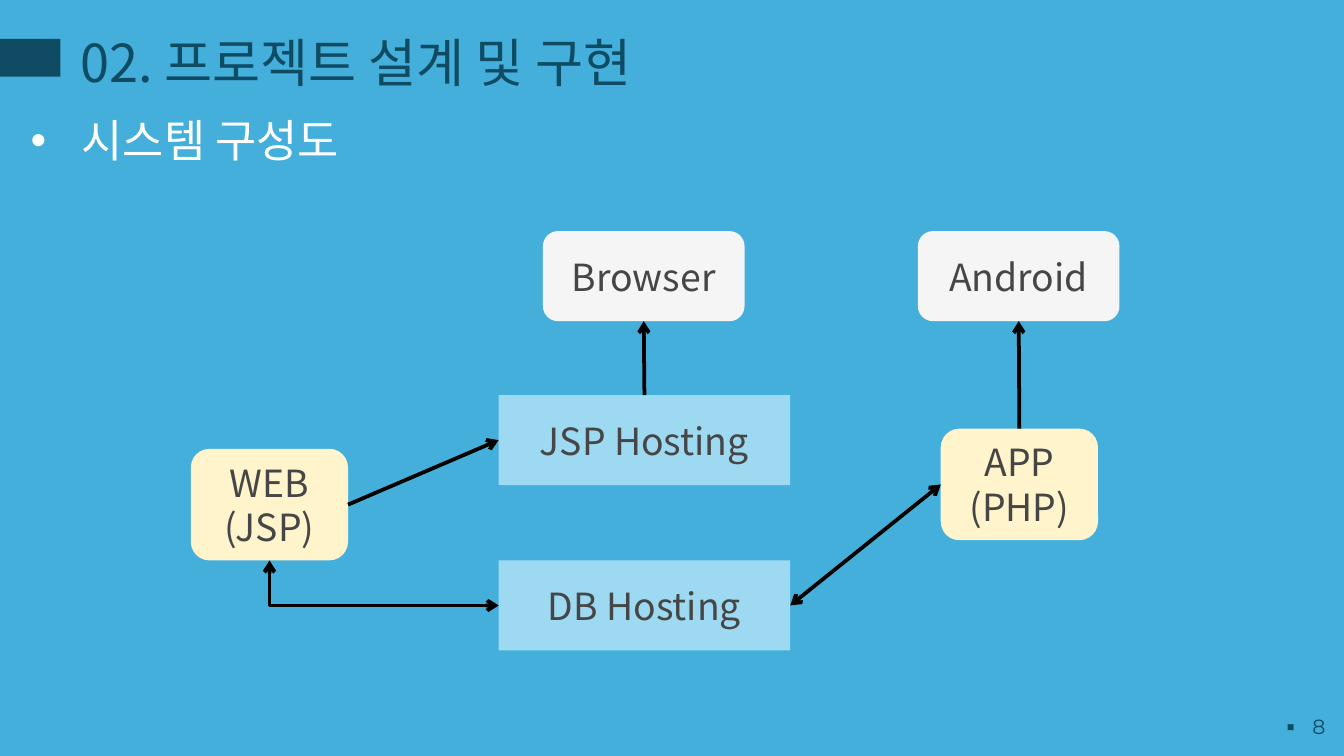
from dataclasses import dataclass

from lxml import etree
from pptx import Presentation
from pptx.dml.color import RGBColor
from pptx.enum.shapes import MSO_CONNECTOR as Connector, MSO_SHAPE as Preset
from pptx.enum.text import MSO_ANCHOR as Anchor, PP_ALIGN as Align
from pptx.oxml.ns import qn
from pptx.util import Inches, Pt

BLUE, NAVY, WHITE, GRAY, BLACK = "45AFDC", "0F4C64", "FFFFFF", "464646", "000000"
CREAM, PALE, SKY = "FFF4CC", "F5F5F5", "9DD9F1"
KOREAN_FONT, NUMBER_FONT = "Noto Sans CJK KR", "Montserrat"
TOP, LEFT, BOTTOM, RIGHT = range(4)


@dataclass
class Node:
    lines: list[str]
    left: float
    top: float
    width: float
    height: float
    fill: str
    rounded: bool = True


@dataclass
class Link:
    start: str
    start_side: int
    end: str
    end_side: int
    both_ways: bool = False


NODES = {
    "web": Node(["WEB", "(JSP)"], 1.42, 3.34, 1.17, 0.83, CREAM),
    "browser": Node(["Browser"], 4.04, 1.72, 1.5, 0.67, PALE),
    "app": Node(["APP", "(PHP)"], 7, 3.19, 1.17, 0.83, CREAM),
    "jsp": Node(["JSP Hosting"], 3.71, 2.94, 2.17, 0.67, SKY, rounded=False),
    "db": Node(["DB Hosting"], 3.71, 4.17, 2.17, 0.67, SKY, rounded=False),
    "android": Node(["Android"], 6.83, 1.72, 1.5, 0.67, PALE),
}
LINKS = [
    Link("web", RIGHT, "jsp", LEFT),
    Link("jsp", TOP, "browser", BOTTOM),
    Link("db", RIGHT, "app", LEFT, both_ways=True),
    Link("app", TOP, "android", BOTTOM),
]


def color(value: str) -> RGBColor:
    return RGBColor.from_string(value)


def add_run(paragraph, text: str, size: float, fill: str, font_name: str = KOREAN_FONT) -> None:
    run = paragraph.add_run()
    run.text = text
    run.font.size = Pt(size)
    run.font.name = font_name
    run.font.color.rgb = color(fill)


def add_text_box(slide, left: float, top: float, width: float, height: float,
                 anchor=Anchor.TOP, inset: float = 0.1):
    """Add an empty text box and return its first paragraph."""
    box = slide.shapes.add_textbox(Inches(left), Inches(top), Inches(width), Inches(height))
    frame = box.text_frame
    frame.word_wrap = True
    frame.vertical_anchor = anchor
    frame.margin_top = frame.margin_bottom = Inches(inset)
    return frame.paragraphs[0]


def add_bullet(paragraph, character: str, indent: float, font_name: str) -> None:
    properties = paragraph._p.get_or_add_pPr()
    properties.set("marL", str(Inches(indent)))
    properties.set("indent", str(-Inches(indent)))
    etree.SubElement(properties, qn("a:buFont"), typeface=font_name)
    etree.SubElement(properties, qn("a:buChar"), char=character)


def add_block(slide, preset, left: float, top: float, width: float, height: float, fill: str):
    shape = slide.shapes.add_shape(
        preset, Inches(left), Inches(top), Inches(width), Inches(height))
    shape.shadow.inherit = False
    shape.fill.solid()
    shape.fill.fore_color.rgb = color(fill)
    shape.line.fill.background()
    return shape


def add_node(slide, node: Node):
    shape = add_block(slide, Preset.ROUNDED_RECTANGLE,
                      node.left, node.top, node.width, node.height, node.fill)
    if not node.rounded:
        shape.adjustments[0] = 0
    frame = shape.text_frame
    frame.vertical_anchor = Anchor.MIDDLE
    for index, text in enumerate(node.lines):
        paragraph = frame.add_paragraph() if index else frame.paragraphs[0]
        paragraph.alignment = Align.CENTER
        add_run(paragraph, text, 20, GRAY)
    return shape


def style_arrow(connector, both_ways: bool) -> None:
    connector.line.color.rgb = color(BLACK)
    connector.line.width = Pt(2)
    line = connector.line._get_or_add_ln()
    if both_ways:
        etree.SubElement(line, qn("a:headEnd"), type="arrow")
    etree.SubElement(line, qn("a:tailEnd"), type="arrow")
    etree.SubElement(connector._element.spPr, qn("a:effectLst"))


def add_link(slide, link: Link, shapes: dict) -> None:
    connector = slide.shapes.add_connector(Connector.STRAIGHT, 0, 0, 0, 0)
    connector.begin_connect(shapes[link.start], link.start_side)
    connector.end_connect(shapes[link.end], link.end_side)
    style_arrow(connector, link.both_ways)


def add_corner_link(slide, start: Node, end: Node) -> None:
    """Join the bottom of start to the left of end, going down and then right."""
    x1, y1 = start.left + start.width / 2, start.top + start.height
    x2, y2 = end.left, end.top + end.height / 2
    middle_x, middle_y = (x1 + x2) / 2, (y1 + y2) / 2
    # The frame is turned by 270 degrees, so its width and height change places.
    half_width, half_height = (y2 - y1) / 2, (x2 - x1) / 2
    connector = slide.shapes.add_connector(
        Connector.ELBOW,
        Inches(middle_x + half_width), Inches(middle_y - half_height),
        Inches(middle_x - half_width), Inches(middle_y + half_height))
    properties = connector._element.spPr
    properties.find(qn("a:prstGeom")).set("prst", "bentConnector2")
    properties.find(qn("a:xfrm")).set("rot", str(270 * 60000))
    style_arrow(connector, both_ways=True)


def main() -> None:
    presentation = Presentation()
    presentation.slide_width = Inches(10)
    presentation.slide_height = Inches(10) * 9 // 16
    slide = presentation.slides.add_slide(presentation.slide_layouts[6])
    slide.background.fill.solid()
    slide.background.fill.fore_color.rgb = color(BLUE)

    add_block(slide, Preset.RECTANGLE, 0, 0.29, 0.45, 0.28, NAVY)
    title = add_text_box(slide, 0.5, 0.18, 9, 0.61, Anchor.BOTTOM)
    add_run(title, "02. 프로젝트 설계 및 구현", 28, NAVY)

    page_number = add_text_box(slide, 9.36, 5.22, 0.6, 0.32)
    page_number.alignment = Align.RIGHT
    add_bullet(page_number, "▪", 0.19, NUMBER_FONT)
    add_run(page_number, "8", 11, NAVY, NUMBER_FONT)

    subtitle = add_text_box(slide, 0.13, 0.79, 7.71, 0.5, inset=0.05)
    add_bullet(subtitle, "•", 0.38, "Arial")
    add_run(subtitle, "시스템 구성도", 24, WHITE)

    shapes = {name: add_node(slide, node) for name, node in NODES.items()}
    for link in LINKS:
        add_link(slide, link, shapes)
    add_corner_link(slide, NODES["web"], NODES["db"])

    presentation.save("out.pptx")


if __name__ == "__main__":
    main()
